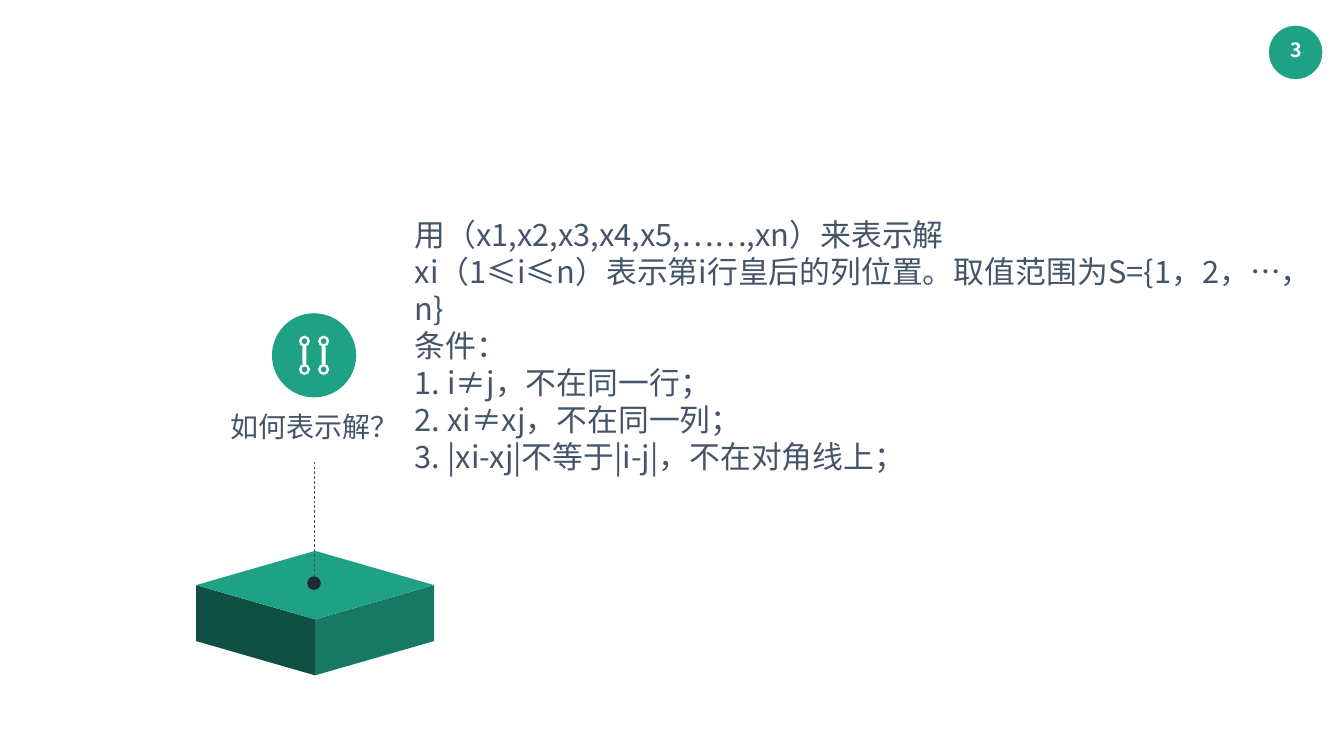
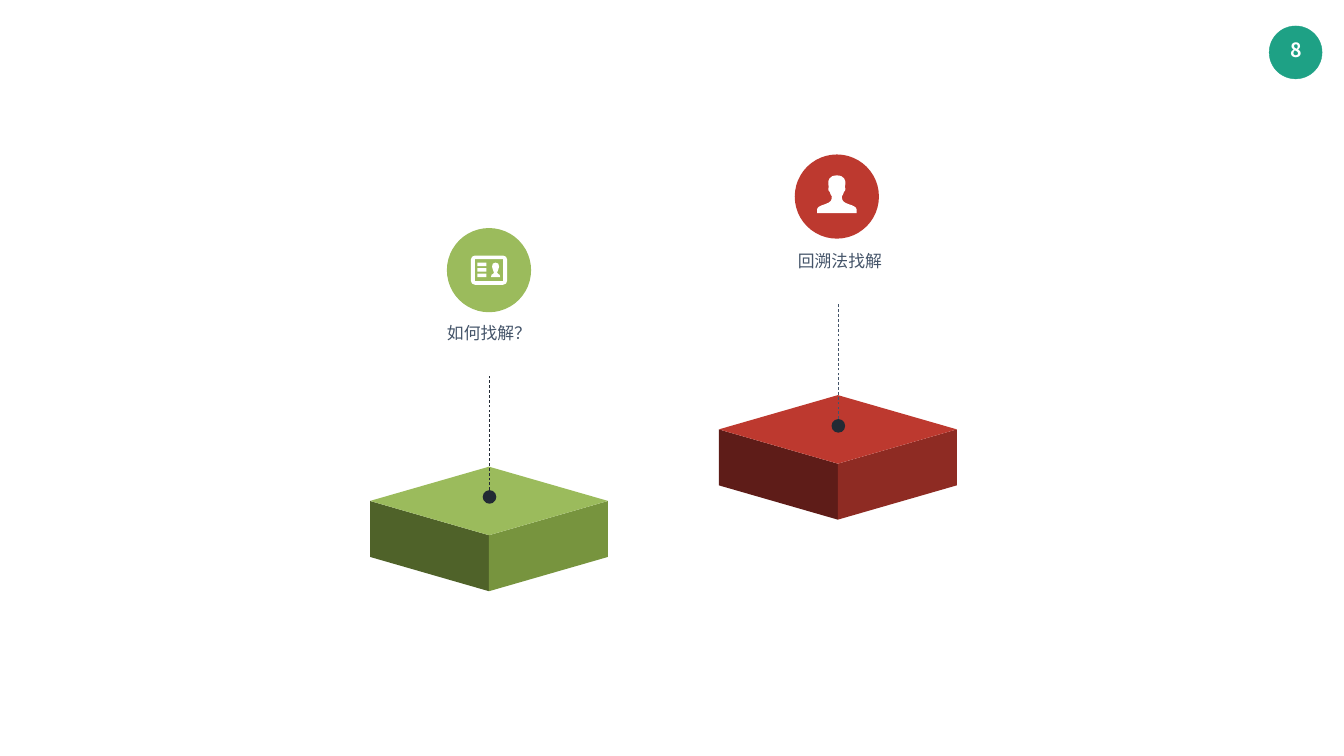
"""Build two slides on how to represent and find queen-placement solutions."""
import dataclasses

import lxml.etree
import pptx
import pptx.dml.color
import pptx.enum.dml
import pptx.enum.shapes
import pptx.enum.text
import pptx.oxml.ns
import pptx.util

Inches = pptx.util.Inches
ALIGN = pptx.enum.text.PP_ALIGN
qn = pptx.oxml.ns.qn


@dataclasses.dataclass(frozen=True)
class Theme:
    """Shared font, colours and type sizes."""
    font: str = "Noto Sans CJK SC"
    ink: str = "445469"
    dark: str = "222A34"
    white: str = "FFFFFF"
    teal: tuple = ("1EA185", "0F5043", "177964")
    green: tuple = ("9BBB5C", "4F6229", "77943E")
    red: tuple = ("BD392F", "5E1C18", "8E2B23")
    body: int = 44
    large: int = 40
    small: int = 24
    page: int = 28


THEME = Theme()


class Curve(list):
    """A start point, then three points for each cubic curve."""


@dataclasses.dataclass(frozen=True)
class Stand:
    """One block with its icon, label and dashed pin."""
    label: str
    size: int
    tones: tuple
    block: tuple
    icon: tuple
    text: tuple
    pin: tuple
    loops: list
    stroke: str = THEME.ink


def rgb(code):
    """Turn a hex code into a colour."""
    return pptx.dml.color.RGBColor.from_string(code)


def paint(shape, code):
    """Give a shape a plain fill without line or shadow."""
    shape.shadow.inherit = False
    shape.fill.solid()
    shape.fill.fore_color.rgb = rgb(code)
    shape.line.fill.background()


def disc(slide, x, y, size, code):
    """Draw a filled circle around a centre."""
    shape = slide.shapes.add_shape(
        pptx.enum.shapes.MSO_SHAPE.OVAL, Inches(x - size / 2),
        Inches(y - size / 2), Inches(size), Inches(size))
    paint(shape, code)
    return shape


def smooth(shape, loops):
    """Join each three lines of a curved loop into one cubic curve."""
    outline = shape._element.find(".//" + qn("a:path"))
    nodes = iter(list(outline))
    for loop in loops:
        part = [next(nodes) for _ in range(len(loop) + 1)]
        if not isinstance(loop, Curve):
            continue
        for i in range(1, len(loop), 3):
            first, *rest = part[i:i + 3]
            first.tag = qn("a:cubicBezTo")
            for node in rest:
                first.extend(list(node))
                outline.remove(node)


def trace(slide, x, y, loops, code):
    """Draw closed outlines placed relative to a point."""
    rows = [[(Inches(x + dx), Inches(y + dy)) for dx, dy in loop]
            for loop in loops]
    pen = slide.shapes.build_freeform(*rows[0][0])
    pen.add_line_segments(rows[0][1:])
    for points in rows[1:]:
        pen.move_to(*points[0])
        pen.add_line_segments(points[1:])
    shape = pen.convert_to_shape()
    smooth(shape, loops)
    paint(shape, code)


def write(slide, box, lines, size, code, inset=(0.1, 0.05),
          align=ALIGN.LEFT, bold=False, wrap=True, lead=None, gap=None):
    """Add a text box with one run in each paragraph."""
    frame = slide.shapes.add_textbox(*map(Inches, box)).text_frame
    frame.word_wrap = wrap
    frame.auto_size = pptx.enum.text.MSO_AUTO_SIZE.SHAPE_TO_FIT_TEXT
    frame.margin_left = frame.margin_right = Inches(inset[0])
    frame.margin_top = frame.margin_bottom = Inches(inset[1])
    for i, line in enumerate(lines):
        para = frame.add_paragraph() if i else frame.paragraphs[0]
        para.alignment = align
        if lead:
            para.line_spacing = lead
        if gap:
            para.space_before = pptx.util.Pt(gap)
        run = para.add_run()
        run.text = line
        font = run.font
        font.name = THEME.font
        font.size = pptx.util.Pt(size)
        font.bold = bold
        font.color.rgb = rgb(code)
        east = lxml.etree.SubElement(run._r.get_or_add_rPr(), qn("a:ea"))
        east.set("typeface", THEME.font)


def rect(left, top, right, low):
    """List the corners of a rectangle."""
    return [(left, top), (right, top), (right, low), (left, low)]


def ring(x, y, size):
    """Make a circle of four curves."""
    bow = 0.55
    points = [(1, 0)]
    for dx, dy in ((1, 0), (0, 1), (-1, 0), (0, -1)):
        points += [(dx - bow * dy, dy + bow * dx),
                   (bow * dx - dy, bow * dy + dx), (-dy, dx)]
    return Curve((x + size * dx, y + size * dy) for dx, dy in points)


def round_rect(wide, high, size):
    """Make a centred rectangle with round corners."""
    arcs = ring(0, 0, size)
    points = Curve()
    for i, (across, down) in enumerate(((1, 1), (-1, 1), (-1, -1), (1, -1))):
        arc = [(dx + across * (wide - size), dy + down * (high - size))
               for dx, dy in arcs[3 * i:3 * i + 4]]
        points += arc[:1] * (3 if i else 1) + arc[1:]
    return points


def bust(x, foot, base, curves):
    """Mirror the right half of a bust around a vertical axis."""
    half = [foot] + [base] * 3 + [point for curve in curves for point in curve]
    return Curve([(x + dx, y) for dx, y in half]
                 + [(x - dx, y) for dx, y in half[-2::-1]])


def link_icon():
    """Outline two bars with a ring at each end."""
    loops = []
    for x in (-0.19, 0.19):
        loops.append(rect(x - 0.04, -0.17, x + 0.04, 0.17))
        for y in (-0.28, 0.28):
            loops += [ring(x, y, 0.11), ring(x, y, 0.06)]
    return loops


def card_icon():
    """Outline a card with three text bars and a small bust."""
    bars = [rect(-0.23, y, -0.05, y + 0.07) for y in (-0.15, -0.04, 0.07)]
    head = bust(0.13, (0.09, 0.14), (0.08, 0.09), [
        ((0.08, 0.09), (0.03, 0.07), (0.03, 0.05)),
        ((0.03, 0.01), (0.07, 0), (0.07, -0.07)),
        ((0.07, -0.12), (0.05, -0.15), (0, -0.15))])
    return [round_rect(0.36, 0.29, 0.08), rect(-0.28, -0.22, 0.28, 0.22),
            *bars, head]


def user_icon():
    """Outline a large bust."""
    return [bust(0, (0.39, 0.33), (0.39, 0.25), [
        ((0.39, 0.22), (0.34, 0.18), (0.23, 0.15)),
        ((0.12, 0.11), (0.1, 0.08), (0.1, 0)),
        ((0.1, -0.03), (0.12, -0.01), (0.14, -0.09)),
        ((0.14, -0.12), (0.17, -0.09), (0.17, -0.16)),
        ((0.17, -0.19), (0.16, -0.19), (0.16, -0.19)),
        ((0.16, -0.19), (0.17, -0.24), (0.17, -0.27)),
        ((0.17, -0.31), (0.16, -0.42), (0, -0.42))])]


def block(slide, x, y, tones):
    """Draw a flat block from its top corner."""
    wide, rise, wall = 2.36, 0.68, 1.11
    top, left, right = tones
    for side, code in ((-wide, left), (wide, right)):
        trace(slide, x, y, [[(side, rise), (0, 2 * rise),
                             (0, 2 * rise + wall), (side, rise + wall)]], code)
    trace(slide, x, y, [[(0, 0), (wide, rise), (0, 2 * rise),
                         (-wide, rise)]], top)


def pin(slide, x, y, code):
    """Draw a dot with a dashed line rising from it."""
    size, rise = 0.27, 2.31
    disc(slide, x, y, size, THEME.dark)
    base = y - size / 2
    line = slide.shapes.add_connector(
        pptx.enum.shapes.MSO_CONNECTOR.STRAIGHT, Inches(x), Inches(base),
        Inches(x), Inches(base - rise))
    line.line.color.rgb = rgb(code)
    line.line.width = pptx.util.Pt(1)
    line.line.dash_style = pptx.enum.dml.MSO_LINE.DASH
    lxml.etree.SubElement(line._element.spPr, qn("a:effectLst"))


def show(slide, stand):
    """Draw a whole stand."""
    block(slide, *stand.block, stand.tones)
    disc(slide, *stand.icon, 1.67, stand.tones[0])
    trace(slide, *stand.icon, stand.loops, THEME.white)
    high = 0.94 if stand.size == THEME.large else 0.65
    write(slide, (*stand.text, 4.78, high), [stand.label], stand.size,
          THEME.ink, (0.2, 0.1), ALIGN.CENTER, lead=1.2, gap=17)
    pin(slide, *stand.pin, stand.stroke)


def start(deck, page):
    """Add a blank slide with its page badge."""
    slide = deck.slides.add_slide(deck.slide_layouts[6])
    badge = disc(slide, 25.7, 1.04, 1.05, THEME.teal[0])
    badge.line.color.rgb = rgb(THEME.teal[0])
    badge.line.width = pptx.util.Pt(0.5)
    write(slide, (25.24, 0.66, 0.95, 0.67), [str(page)], THEME.page,
          THEME.white, (0.2, 0.1), ALIGN.CENTER, bold=True, wrap=False)
    return slide


def main():
    """Build and save the deck."""
    deck = pptx.Presentation()
    deck.slide_width, deck.slide_height = Inches(26.66), Inches(15)

    slide = start(deck, 3)
    show(slide, Stand("如何表示解？", THEME.large, THEME.teal, (6.25, 10.93),
                      (6.23, 7.05), (3.84, 7.9), (6.23, 11.57), link_icon()))
    write(slide, (8.13, 4.23, 18.13, 5.28), [
        "用（x1,x2,x3,x4,x5,……,xn）来表示解",
        "xi（1≤i≤n）表示第i行皇后的列位置。取值范围为S={1，2，…，n}",
        "条件：",
        "1. i≠j，不在同一行；",
        "2. xi≠xj，不在同一列；",
        "3. |xi-xj|不等于|i-j|，不在对角线上；",
    ], THEME.body, THEME.ink)

    slide = start(deck, 8)
    show(slide, Stand("如何找解？", THEME.small, THEME.green, (9.7, 9.26),
                      (9.7, 5.36), (7.31, 6.23), (9.71, 9.86), card_icon(),
                      THEME.dark))
    show(slide, Stand("回溯法找解", THEME.small, THEME.red, (16.62, 7.84),
                      (16.6, 3.9), (14.27, 4.79), (16.63, 8.45), user_icon()))
    deck.save("out.pptx")


if __name__ == "__main__":
    main()
